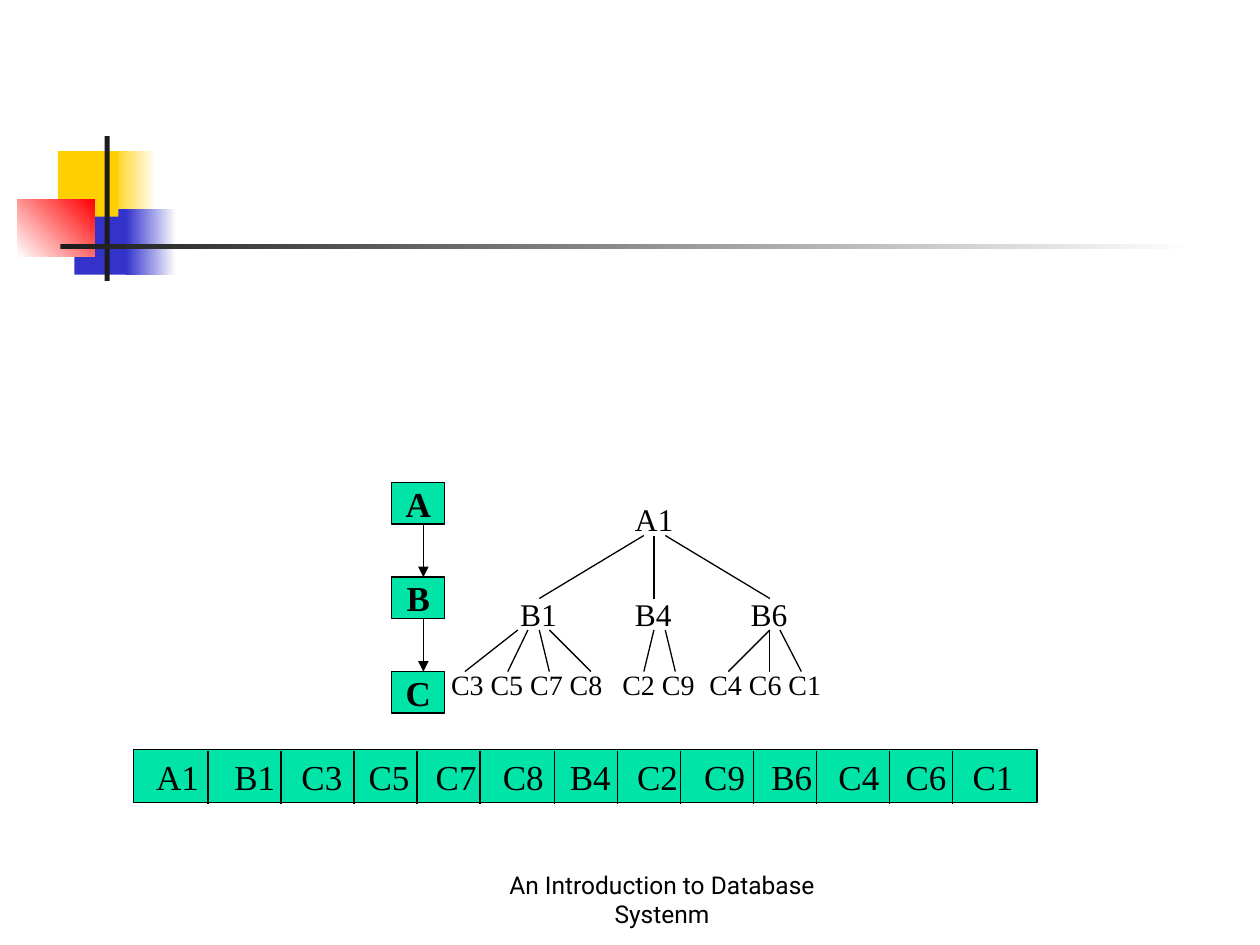
from typing import NamedTuple, Optional

import pptx
import pptx.dml.color
import pptx.enum.dml
import pptx.enum.shapes
import pptx.enum.text
import pptx.oxml.ns
import pptx.util
from lxml import etree

Inches = pptx.util.Inches
Pt = pptx.util.Pt
ALIGN = pptx.enum.text.PP_ALIGN
ANCHOR = pptx.enum.text.MSO_ANCHOR
SERIF = "Times New Roman"
COLORS = {
    "black": "000000", "white": "FFFFFF", "ink": "1C1C1C", "green": "00E4A8",
    "yellow": "FFCF01", "blue": "3333CC", "red": "FF0000",
}


class Block(NamedTuple):
    """A rectangle; with an end colour it is filled with a gradient."""
    left: float
    top: float
    width: float
    height: float
    fill: str
    end: Optional[str] = None
    angle: float = 0


class Style(NamedTuple):
    size: float
    font: str = SERIF
    bold: bool = False
    align: ALIGN = ALIGN.LEFT
    anchor: ANCHOR = ANCHOR.TOP
    wrap: bool = True
    grow: bool = False
    inset: float = 0.1
    tabs: tuple[float, ...] = ()


class Branch(NamedTuple):
    start: float
    end: float


def rgb(name: str) -> pptx.dml.color.RGBColor:
    return pptx.dml.color.RGBColor.from_string(COLORS[name])


def draw_block(slide, block: Block, outlined: bool = False):
    shape = slide.shapes.add_shape(
        pptx.enum.shapes.MSO_SHAPE.RECTANGLE,
        *(Inches(value) for value in block[:4]))
    shape.shadow.inherit = False
    if block.end:
        shape.fill.gradient()
        shape.fill.gradient_angle = block.angle
        for stop, name in zip(shape.fill.gradient_stops, (block.fill, block.end)):
            stop.color.rgb = rgb(name)
    else:
        shape.fill.solid()
        shape.fill.fore_color.rgb = rgb(block.fill)
    if outlined:
        shape.line.color.rgb = rgb("black")
        shape.line.width = Pt(0.75)
    else:
        shape.line.fill.background()
    return shape


def write(shape, text: str, style: Style) -> None:
    frame = shape.text_frame
    frame.text = text
    frame.word_wrap = style.wrap
    if style.grow:
        frame.auto_size = pptx.enum.text.MSO_AUTO_SIZE.SHAPE_TO_FIT_TEXT
    frame.vertical_anchor = style.anchor
    frame.margin_left = Inches(style.inset)
    para = frame.paragraphs[0]
    para.alignment = style.align
    if style.tabs:
        properties = para._p.get_or_add_pPr()
        tab_list = etree.SubElement(properties, pptx.oxml.ns.qn("a:tabLst"))
        for position in style.tabs:
            etree.SubElement(tab_list, pptx.oxml.ns.qn("a:tab"),
                             pos=str(Inches(position)), algn="l")
    for span in para.runs:
        span.font.size = Pt(style.size)
        span.font.name = style.font
        span.font.bold = style.bold
        span.font.color.rgb = rgb("black")


def draw_text(slide, left: float, top: float, width: float, height: float,
              text: str, style: Style) -> None:
    box = slide.shapes.add_textbox(
        Inches(left), Inches(top), Inches(width), Inches(height))
    write(box, text, style)


def draw_line(slide, x1: float, y1: float, x2: float, y2: float,
              arrow: bool = False) -> None:
    line = slide.shapes.add_connector(
        pptx.enum.shapes.MSO_CONNECTOR.STRAIGHT,
        Inches(x1), Inches(y1), Inches(x2), Inches(y2))
    line.line.color.rgb = rgb("black")
    line.line.width = Pt(0.75)
    if arrow:
        etree.SubElement(line.line._get_or_add_ln(),
                         pptx.oxml.ns.qn("a:tailEnd"), type="triangle")
    etree.SubElement(line._element.spPr, pptx.oxml.ns.qn("a:effectLst"))


ORNAMENT = [
    Block(0.88, 1.2, 0.36, 0.52, "yellow", "white"),
    Block(0.59, 1.66, 0.46, 0.52, "blue"),
    Block(0.46, 1.2, 0.48, 0.52, "yellow"),
    Block(1, 1.66, 0.4, 0.52, "blue", "white"),
    Block(0.14, 1.58, 0.61, 0.46, "white", "red", 45),
    Block(0.83, 1.08, 0.04, 1.15, "ink"),
    Block(0.48, 1.94, 9, 0.04, "ink", "white"),
]
LEVELS = ["A", "B", "C"]
LEVEL_TOP, LEVEL_STEP, LEVEL_HEIGHT = 3.83, 0.75, 0.33
NODES = [("A1", 4.94, 3.92), ("B1", 4.03, 4.67), ("B4", 4.94, 4.67), ("B6", 5.86, 4.67)]
ROOT_BRANCHES = [Branch(5.11, 4.28), Branch(5.19, 5.19), Branch(5.28, 6.11)]
LEAF_BRANCHES = [
    Branch(4.11, 3.69), Branch(4.19, 4.03), Branch(4.28, 4.36), Branch(4.36, 4.69),
    Branch(5.19, 5.11), Branch(5.28, 5.36),
    Branch(6.11, 5.78), Branch(6.11, 6.11), Branch(6.19, 6.36),
]
LEAF_GROUPS = ["C3 C5 C7 C8", "C2 C9", "C4 C6 C1"]
RECORDS = ["A1", "B1", "C3", "C5", "C7", "C8", "B4", "C2", "C9", "B6", "C4", "C6", "C1"]
FIRST_STOP, LAST_STOP = 0.62, 6.48
DIVIDERS = [1.65, 2.23, 2.81, 3.31, 3.81, 4.4, 4.9, 5.4, 5.98, 6.48, 7.06, 7.56]


def main() -> None:
    deck = pptx.Presentation()
    deck.slide_width, deck.slide_height = Inches(10), Inches(7.5)
    slide = deck.slides.add_slide(deck.slide_layouts[6])

    # Corner ornament and rule
    for block in ORNAMENT:
        draw_block(slide, block)

    # Footer
    draw_text(slide, 3.67, 6.92, 3.17, 0.5, "An Introduction to Database Systenm",
              Style(14, "Roboto", align=ALIGN.CENTER, anchor=ANCHOR.BOTTOM))

    # Record types, one below the other
    level_style = Style(20, bold=True, align=ALIGN.CENTER, anchor=ANCHOR.MIDDLE, wrap=False)
    for index, name in enumerate(LEVELS):
        top = LEVEL_TOP + index * LEVEL_STEP
        box = draw_block(slide, Block(3.11, top, 0.42, LEVEL_HEIGHT, "green"), outlined=True)
        write(box, name, level_style)
        if index:
            draw_line(slide, 3.36, top - LEVEL_STEP + LEVEL_HEIGHT, 3.36, top, arrow=True)

    # Tree of records
    for name, left, top in NODES:
        draw_text(slide, left, top, 0.51, 0.4, name, Style(18, wrap=False, grow=True))
    for branches, top, bottom in ((ROOT_BRANCHES, 4.25, 4.75), (LEAF_BRANCHES, 5, 5.33)):
        for branch in branches:
            draw_line(slide, branch.start, top, branch.end, bottom)
    draw_text(slide, 3.43, 5.25, 3.25, 0.64, "\t".join(LEAF_GROUPS),
              Style(16, inset=0.15, tabs=(1.36, 2.05)))

    # Stored sequence of records
    strip = draw_block(slide, Block(1.06, 5.95, 7.17, 0.42, "green"), outlined=True)
    stop_count = len(RECORDS) - 1
    step = (LAST_STOP - FIRST_STOP) / (stop_count - 1)
    stops = tuple(FIRST_STOP + step * index for index in range(stop_count))
    write(strip, "\t".join(RECORDS),
          Style(20, anchor=ANCHOR.MIDDLE, inset=0.18, tabs=stops))
    for x in DIVIDERS:
        draw_line(slide, x, 5.96, x, 6.38)

    deck.save("out.pptx")


if __name__ == "__main__":
    main()
